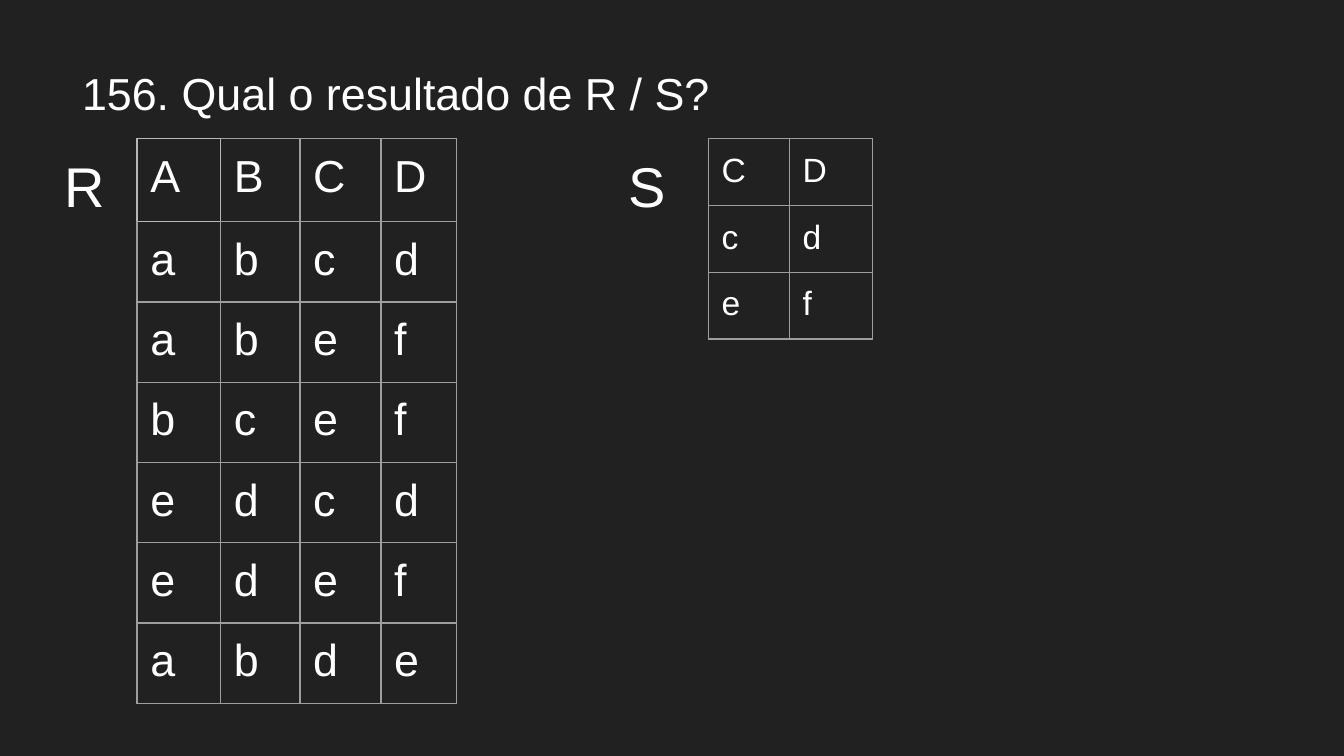
"""Build the relational division question slide with tables R and S."""
from dataclasses import dataclass

from lxml.etree import SubElement
from pptx import Presentation
from pptx.dml.color import RGBColor as Rgb
from pptx.enum.text import MSO_ANCHOR as Anchor, PP_ALIGN as Align
from pptx.oxml.ns import qn
from pptx.util import Cm, Pt

COLORS = {"background": "212121", "text": "FFFFFF", "grid": "9E9E9E", "corner": "B7B7B7"}
FONT = "Arial"
INSET = Cm(0.25)
TABLE_TOP = 2.62
ROW_HEIGHT = 1.07
EDGES = ("lnL", "lnR", "lnT", "lnB")


@dataclass
class Relation:
    name: str
    label_left: float
    left: float
    widths: list[float]
    header_height: float
    size: int
    rows: list[str]
    light_corner: bool = False


RELATIONS = [
    Relation("R", 0.97, 2.59, [1.58, 1.5, 1.53, 1.42], 1.57, 24,
             ["ABCD", "abcd", "abef", "bcef", "edcd", "edef", "abde"], light_corner=True),
    Relation("S", 11.63, 13.39, [1.53, 1.57], ROW_HEIGHT, 18, ["CD", "cd", "ef"]),
]


def write_text(frame, text: str, *, size: int) -> None:
    frame.word_wrap = True
    paragraph = frame.paragraphs[0]
    paragraph.alignment = Align.LEFT
    run = paragraph.add_run()
    run.text = text
    run.font.name = FONT
    run.font.size = Pt(size)
    run.font.color.rgb = Rgb.from_string(COLORS["text"])


def set_insets(target) -> None:
    target.margin_left = target.margin_right = INSET
    target.margin_top = target.margin_bottom = INSET
    target.vertical_anchor = Anchor.TOP


def set_borders(cell, light_edges: tuple[str, ...]) -> None:
    properties = cell._tc.get_or_add_tcPr()
    for index, edge in enumerate(EDGES):
        line = SubElement(properties, qn(f"a:{edge}"), w=str(Pt(0.75)))
        fill = SubElement(line, qn("a:solidFill"))
        color = COLORS["corner" if edge in light_edges else "grid"]
        SubElement(fill, qn("a:srgbClr"), val=color)
        properties.remove(line)
        properties.insert(index, line)


def add_relation(slide, relation: Relation) -> None:
    label = slide.shapes.add_textbox(Cm(relation.label_left), Cm(TABLE_TOP), Cm(1.42), Cm(1.68))
    set_insets(label.text_frame)
    write_text(label.text_frame, relation.name, size=30)

    heights = [relation.header_height] + [ROW_HEIGHT] * (len(relation.rows) - 1)
    table = slide.shapes.add_table(
        len(heights), len(relation.widths), Cm(relation.left), Cm(TABLE_TOP),
        Cm(sum(relation.widths)), Cm(sum(heights))).table
    table.first_row = table.horz_banding = False
    for column, width in zip(table.columns, relation.widths):
        column.width = Cm(width)
    for row, height in zip(table.rows, heights):
        row.height = Cm(height)

    light = {(0, 0): EDGES, (0, 1): ("lnL",), (1, 0): ("lnT",)} if relation.light_corner else {}
    for row_index, values in enumerate(relation.rows):
        for column_index, value in enumerate(values):
            cell = table.cell(row_index, column_index)
            cell.fill.background()
            set_insets(cell)
            write_text(cell.text_frame, value, size=relation.size)
            set_borders(cell, light.get((row_index, column_index), ()))


def main() -> None:
    presentation = Presentation()
    presentation.slide_width, presentation.slide_height = Cm(25.4), Cm(14.29)
    slide = presentation.slides.add_slide(presentation.slide_layouts[5])
    slide.background.fill.solid()
    slide.background.fill.fore_color.rgb = Rgb.from_string(COLORS["background"])

    title = slide.shapes.title
    title.left, title.top, title.width, title.height = Cm(1.3), Cm(0.99), Cm(22.6), Cm(3.23)
    set_insets(title.text_frame)
    write_text(title.text_frame, "156. Qual o resultado de R / S?", size=24)

    for relation in RELATIONS:
        add_relation(slide, relation)
    presentation.save("out.pptx")


if __name__ == "__main__":
    main()
